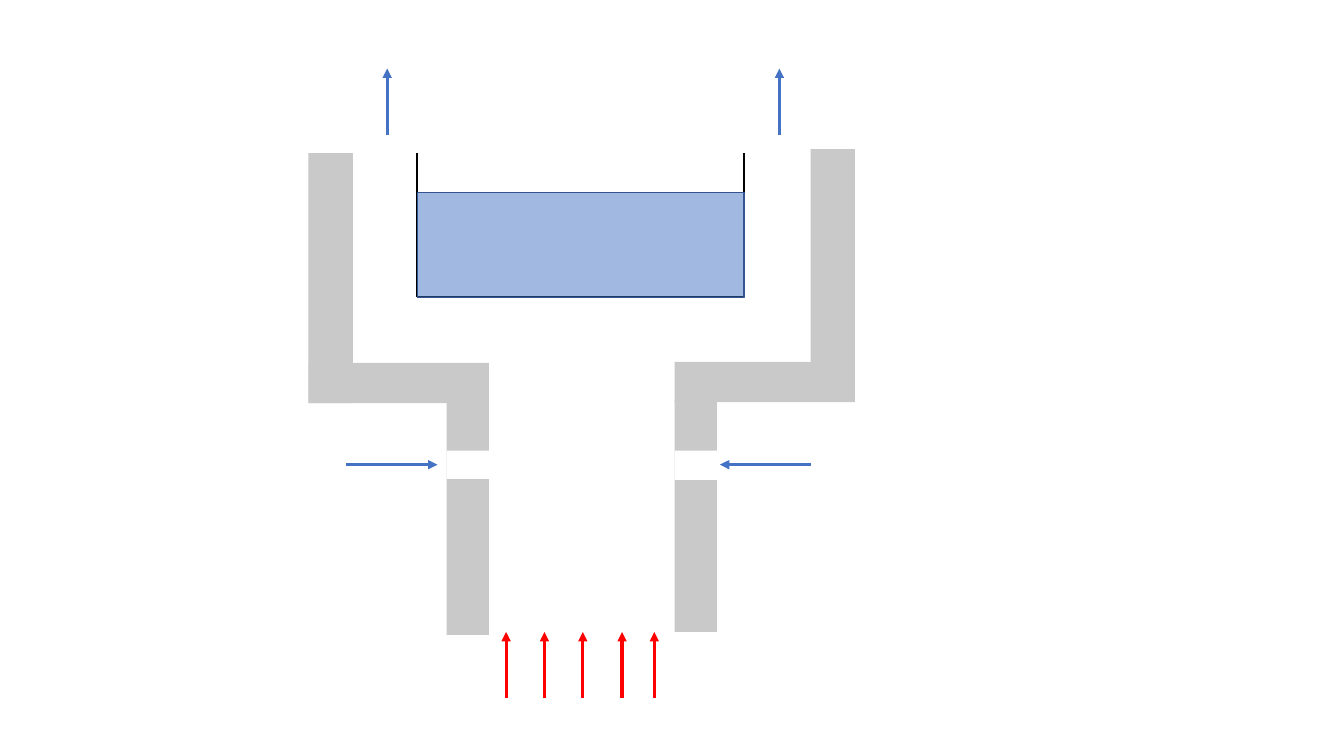
from dataclasses import dataclass

from pptx import Presentation
from pptx.dml.color import RGBColor
from pptx.enum.shapes import MSO_CONNECTOR, MSO_SHAPE
from pptx.oxml.ns import qn
from pptx.util import Inches, Pt
from lxml.etree import SubElement


@dataclass(frozen=True)
class Theme:
    """Colours and line widths of the slide."""
    wall: str = "C9C9C9"
    opening: str = "FFFFFF"
    pan: str = "000000"
    water: str = "4472C4"
    water_edge: str = "325491"
    air: str = "4472C4"
    heat: str = "FF0000"
    pan_width: float = 1.5
    edge_width: float = 1
    arrow_width: float = 2.25


THEME = Theme()

# Boxes are left, top, width, height in inches
WALLS = [
    (6.69, 3.59, 1.79, 0.4),   # right shelf
    (8.04, 1.48, 0.44, 2.48),  # right upper wall
    (3.06, 1.52, 0.44, 2.48),  # left upper wall
    (3.06, 3.6, 1.79, 0.4),    # left shelf
    (4.43, 4, 0.42, 2.3),      # left lower wall
    (6.69, 3.97, 0.42, 2.3),   # right lower wall
]
AIR_HOLES = [(6.69, 4.47, 0.42, 0.29), (4.43, 4.47, 0.46, 0.28)]

PAN_LEFT, PAN_RIGHT, PAN_TOP, PAN_BOTTOM = 4.14, 7.38, 1.52, 2.95
WATER_TOP = 1.91

INLET_Y = 4.61
INLETS = [(8.04, 7.14), (3.43, 4.34)]  # from x, to x
HEAT_X = [5.02, 5.4, 5.78, 6.17, 6.49]
HEAT_Y = (6.92, 6.27)
EXHAUST_X = [3.84, 7.73]
EXHAUST_Y = (1.34, 0.68)


def add_box(s, box, fill, edge=None, alpha=None):
    """Add a rectangle, with an optional outline and opacity in percent."""
    sp = s.shapes.add_shape(MSO_SHAPE.RECTANGLE, *map(Inches, box))
    sp.shadow.inherit = False
    sp.fill.solid()
    sp.fill.fore_color.rgb = RGBColor.from_string(fill)
    if edge:
        sp.line.color.rgb = RGBColor.from_string(edge)
        sp.line.width = Pt(THEME.edge_width)
    else:
        sp.line.fill.background()
    if alpha:
        color = sp._element.spPr.find(qn("a:solidFill")).find(qn("a:srgbClr"))
        SubElement(color, qn("a:alpha"), val=str(alpha * 1000))


def add_line(s, x1, y1, x2, y2, color, width, arrow=False):
    """Add a straight line, with an arrowhead at its end if asked."""
    cx = s.shapes.add_connector(
        MSO_CONNECTOR.STRAIGHT, *map(Inches, (x1, y1, x2, y2)))
    cx.line.color.rgb = RGBColor.from_string(color)
    cx.line.width = Pt(width)
    if arrow:
        SubElement(cx.line._get_or_add_ln(), qn("a:tailEnd"), type="triangle")
    SubElement(cx._element.spPr, qn("a:effectLst"))


def add_arrow(s, x1, y1, x2, y2, color):
    """Add a flow arrow."""
    add_line(s, x1, y1, x2, y2, color, THEME.arrow_width, arrow=True)


def add_pan(s):
    """Add the open pan and the water in it."""
    for x1, y1, x2, y2 in [
        (PAN_LEFT, PAN_TOP, PAN_LEFT, PAN_BOTTOM),
        (PAN_RIGHT, PAN_TOP, PAN_RIGHT, PAN_BOTTOM),
        (PAN_LEFT, PAN_BOTTOM, PAN_RIGHT, PAN_BOTTOM),
    ]:
        add_line(s, x1, y1, x2, y2, THEME.pan, THEME.pan_width)
    water = (PAN_LEFT, WATER_TOP, PAN_RIGHT - PAN_LEFT, PAN_BOTTOM - WATER_TOP)
    add_box(s, water, THEME.water, THEME.water_edge, alpha=50)


prs = Presentation()
prs.slide_width, prs.slide_height = Inches(13.33), Inches(7.5)
s = prs.slides.add_slide(prs.slide_layouts[6])

for wall in WALLS:
    add_box(s, wall, THEME.wall)
add_pan(s)
for hole in AIR_HOLES:
    add_box(s, hole, THEME.opening)
for x1, x2 in INLETS:
    add_arrow(s, x1, INLET_Y, x2, INLET_Y, THEME.air)
for xs, (y1, y2), color in [(HEAT_X, HEAT_Y, THEME.heat),
                            (EXHAUST_X, EXHAUST_Y, THEME.air)]:
    for x in xs:
        add_arrow(s, x, y1, x, y2, color)

prs.save("out.pptx")
